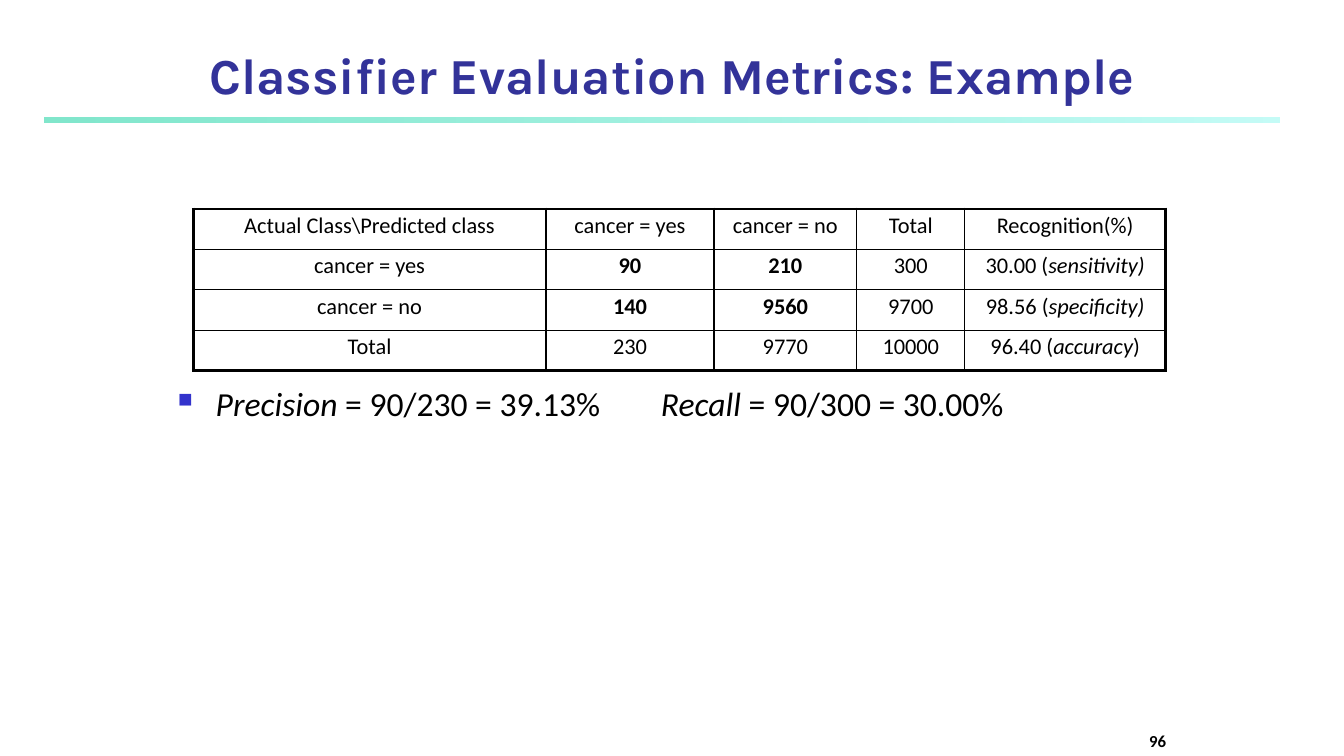
from dataclasses import dataclass

from lxml.etree import SubElement
from pptx import Presentation
from pptx.dml.color import RGBColor
from pptx.enum.shapes import MSO_SHAPE
from pptx.enum.text import MSO_ANCHOR, MSO_AUTO_SIZE, PP_ALIGN
from pptx.oxml.ns import qn
from pptx.util import Emu, Pt


@dataclass(frozen=True)
class Theme:
    heading_font: str = "Karla"
    body_font: str = "Calibri"
    title_size: int = 36
    body_size: int = 24
    table_size: int = 16
    number_size: int = 12
    title_color: str = "333399"
    text_color: str = "000000"
    bullet_color: str = "3333CC"
    bar_stops: tuple = (("00CE98", 50), ("8FF9EF", 52))
    outer_border: float = 2.25
    inner_border: float = 1


THEME = Theme()
PX = 9525


def px(*lengths):
    return [Emu(length * PX) for length in lengths]


def write(paragraph, text, size, bold=False, font=THEME.body_font, color=THEME.text_color):
    for index, part in enumerate(text.split("_")):
        if part:
            run = paragraph.add_run()
            run.text = part
            values = {"name": font, "size": Pt(size), "bold": bold, "italic": index % 2 == 1}
            for name, value in values.items():
                setattr(run.font, name, value)
            run.font.color.rgb = RGBColor.from_string(color)


presentation = Presentation()
presentation.slide_width, presentation.slide_height = px(1280, 720)
slide = presentation.slides.add_slide(presentation.slide_layouts[5])

bar = slide.shapes.add_shape(MSO_SHAPE.RECTANGLE, *px(42, 112, 1177, 5))
bar.shadow.inherit = False
bar.line.fill.background()
bar.fill.gradient()
bar.fill.gradient_angle = 0
for stop, (color, opacity) in zip(bar.fill.gradient_stops, THEME.bar_stops):
    stop.color.rgb = RGBColor.from_string(color)
for color_element, (color, opacity) in zip(bar._element.iter(qn("a:srgbClr")), THEME.bar_stops):
    SubElement(color_element, qn("a:alpha"), val=str(opacity * 1000))

title = slide.shapes.title
title.left, title.top, title.width, title.height = px(160, 24, 960, 80)
number = slide.shapes.add_textbox(*px(920, 680, 200, 40))
metrics = slide.shapes.add_textbox(*px(160, 360, 976, 64))
for shape, anchor, alignment in (
    (title, MSO_ANCHOR.BOTTOM, PP_ALIGN.CENTER),
    (number, MSO_ANCHOR.BOTTOM, PP_ALIGN.RIGHT),
    (metrics, MSO_ANCHOR.TOP, PP_ALIGN.LEFT),
):
    frame_format = {"word_wrap": True, "auto_size": MSO_AUTO_SIZE.NONE, "vertical_anchor": anchor}
    for name, value in frame_format.items():
        setattr(shape.text_frame, name, value)
    shape.text_frame.paragraphs[0].alignment = alignment

write(title.text_frame.paragraphs[0], "Classifier Evaluation Metrics: Example",
      THEME.title_size, True, THEME.heading_font, THEME.title_color)
write(number.text_frame.paragraphs[0], "96", THEME.number_size, True)

paragraph = metrics.text_frame.paragraphs[0]
paragraph.space_before = Pt(5)
write(paragraph, "_Precision_ = 90/230 = 39.13%\t_Recall_ = 90/300 = 30.00%", THEME.body_size)
properties = paragraph._p.get_or_add_pPr()
hanging, recall_tab = px(36, 460)
properties.set("marL", str(hanging))
properties.set("indent", str(-hanging))
bullet_color = SubElement(properties, qn("a:buClr"))
SubElement(bullet_color, qn("a:srgbClr"), val=THEME.bullet_color)
SubElement(properties, qn("a:buSzPct"), val="60000")
SubElement(properties, qn("a:buChar"), char="■")
tabs = SubElement(properties, qn("a:tabLst"))
SubElement(tabs, qn("a:tab"), pos=str(recall_tab), algn="l")

ROWS = [
    ["Actual Class\\Predicted class", "cancer = yes", "cancer = no", "Total", "Recognition(%)"],
    ["cancer = yes", "90", "210", "300", "30.00 (_sensitivity)_"],
    ["cancer = no", "140", "9560", "9700", "98.56 (_specificity)_"],
    ["Total", "230", "9770", "10000", "96.40 (_accuracy_)"],
]
COLUMN_WIDTHS = px(336, 160, 136, 103, 191)
last_row, last_column = len(ROWS) - 1, len(COLUMN_WIDTHS) - 1

table = slide.shapes.add_table(len(ROWS), len(COLUMN_WIDTHS), *px(184, 199, 926, 154)).table
table.first_row = table.horz_banding = False
for column, width in zip(table.columns, COLUMN_WIDTHS):
    column.width = width

for row_index, row in enumerate(ROWS):
    for column_index, text in enumerate(row):
        cell = table.cell(row_index, column_index)
        cell.margin_left, cell.margin_right, cell.margin_top, cell.margin_bottom = px(10, 10, 3, 3)
        paragraph = cell.text_frame.paragraphs[0]
        paragraph.alignment = PP_ALIGN.CENTER
        paragraph.space_before = Pt(3)
        is_count = row_index in (1, 2) and column_index in (1, 2)
        write(paragraph, text, THEME.table_size, is_count)
        edges = {
            "a:lnL": column_index == 0,
            "a:lnR": column_index == last_column,
            "a:lnT": row_index == 0,
            "a:lnB": row_index == last_row,
        }
        cell_properties = cell._tc.get_or_add_tcPr()
        for tag, is_outer in edges.items():
            width = Pt(THEME.outer_border if is_outer else THEME.inner_border)
            border = SubElement(cell_properties, qn(tag), w=str(width))
            border_fill = SubElement(border, qn("a:solidFill"))
            SubElement(border_fill, qn("a:srgbClr"), val=THEME.text_color)
        cell.fill.background()

presentation.save("out.pptx")
